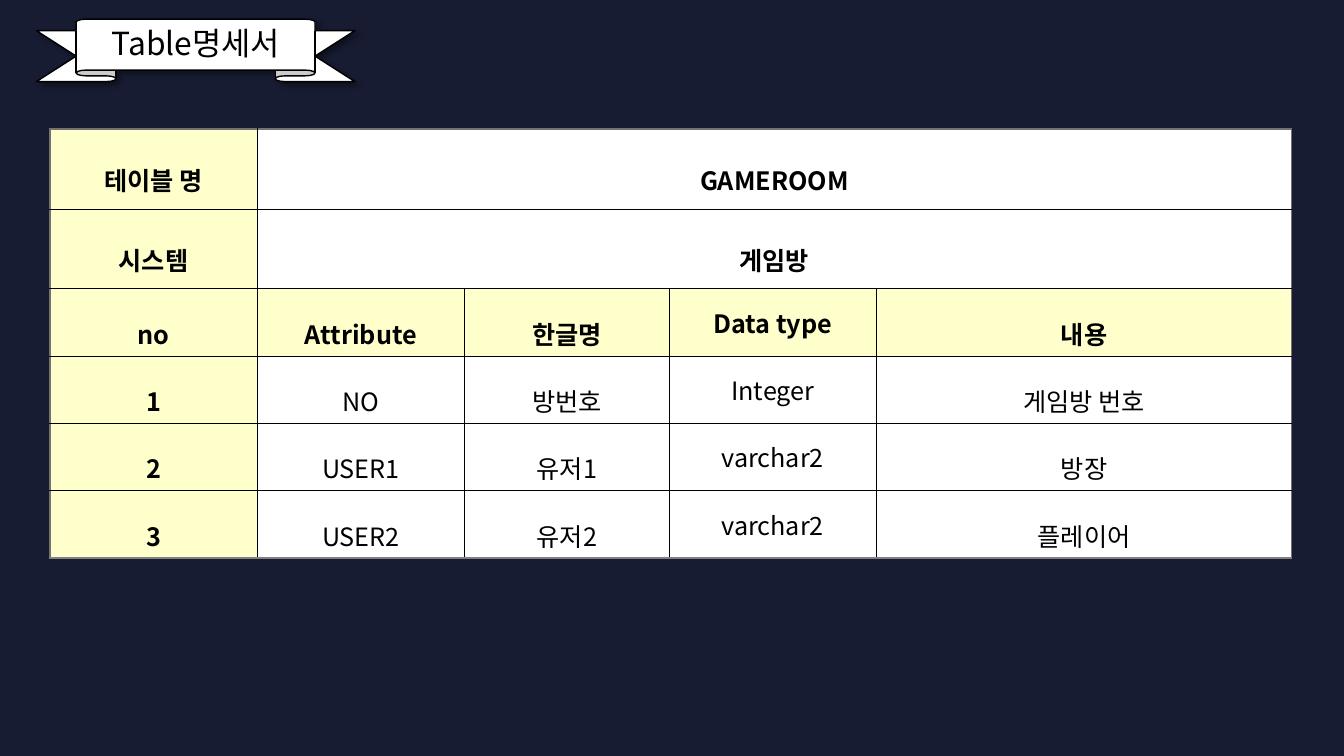
from lxml import etree
from pptx import Presentation
from pptx.dml.color import RGBColor as RGB
from pptx.enum.shapes import MSO_SHAPE as SHAPE
from pptx.enum.text import MSO_ANCHOR as ANCHOR, MSO_AUTO_SIZE as AUTO, PP_ALIGN as ALIGN
from pptx.oxml import parse_xml
from pptx.oxml.ns import nsdecls, qn
from pptx.util import Pt

FONT = "Noto Sans CJK KR"
COLORS = {"bg": "171C33", "white": "FFFFFF", "black": "000000",
          "head": "FFFFCC", "edge": "767171", "bottom": "808080"}


def set_text(tf, text, size, bold=False):
    p = tf.paragraphs[0]
    p.text = text
    p.alignment = ALIGN.CENTER
    for r in p.runs:
        r.font.name = FONT
        r.font.size = Pt(size)
        r.font.bold = bold
        r.font.color.rgb = RGB.from_string(COLORS["black"])
        etree.SubElement(r.font._element, qn("a:ea")).set("typeface", FONT)
    return p


def set_border(cell, side, color, width):
    cell._tc.get_or_add_tcPr().append(parse_xml(
        f'<a:ln{side} {nsdecls("a")} w="{Pt(width)}"><a:solidFill>'
        f'<a:srgbClr val="{COLORS[color]}"/></a:solidFill></a:ln{side}>'))


prs = Presentation()
prs.slide_width, prs.slide_height = Pt(960), Pt(540)
s = prs.slides.add_slide(prs.slide_layouts[5])
s.background.fill.solid()
s.background.fill.fore_color.rgb = RGB.from_string(COLORS["bg"])

ribbon = s.shapes.add_shape(SHAPE.UP_RIBBON, Pt(26), Pt(13.7), Pt(227.5), Pt(44.6))
ribbon.adjustments[0] = 0.184
ribbon.adjustments[1] = 0.75
ribbon.fill.solid()
ribbon.fill.fore_color.rgb = RGB.from_string(COLORS["white"])
ribbon.line.color.rgb = RGB.from_string(COLORS["black"])
ribbon.line.width = Pt(1)
ribbon._element.spPr.append(parse_xml(
    f'<a:effectLst {nsdecls("a")}><a:outerShdw blurRad="{Pt(4)}" dist="{Pt(3)}" '
    f'dir="2700000" algn="tl" rotWithShape="0"><a:srgbClr val="{COLORS["black"]}">'
    '<a:alpha val="40000"/></a:srgbClr></a:outerShdw></a:effectLst>'))

title = s.shapes.title
title._element.addprevious(ribbon._element)
title.left, title.top, title.width, title.height = Pt(64), Pt(12.2), Pt(152), Pt(37.4)
tf = title.text_frame
tf.word_wrap = True
tf.auto_size = AUTO.NONE
tf.vertical_anchor = ANCHOR.MIDDLE
tf.margin_left = tf.margin_right = Pt(9.4)
tf.margin_top = tf.margin_bottom = Pt(5)
set_text(tf, "Table명세서", 22.7)

rows = [
    ["테이블 명", "GAMEROOM"],
    ["시스템", "게임방"],
    ["no", "Attribute", "한글명", "Data type", "내용"],
    ["1", "NO", "방번호", "Integer", "게임방 번호"],
    ["2", "USER1", "유저1", "varchar2", "방장"],
    ["3", "USER2", "유저2", "varchar2", "플레이어"],
]
widths = [148.2, 148.2, 146, 148.2, 296.5]
heights = [57.1, 57.1] + [48.1] * 4
last_row, last_col = len(rows) - 1, len(widths) - 1
TYPE_COL = 3

frame = s.shapes.add_table(len(rows), len(widths), Pt(35.5), Pt(92),
                           Pt(sum(widths)), Pt(sum(heights)))
table = frame.table
table.first_row = table.horz_banding = False
for col, width in zip(table.columns, widths):
    col.width = Pt(width)
for row, height in zip(table.rows, heights):
    row.height = Pt(height)
for i in range(2):
    table.cell(i, 1).merge(table.cell(i, last_col))

for i, texts in enumerate(rows):
    for j, text in enumerate(texts):
        cell = table.cell(i, j)
        is_type = j == TYPE_COL
        cell.vertical_anchor = ANCHOR.MIDDLE
        cell.margin_left = cell.margin_right = Pt(7.2)
        cell.margin_top = cell.margin_bottom = Pt(3.6 if is_type else 2.16)
        p = set_text(cell.text_frame, text, 18, bold=i < 3 or j == 0)
        p.line_spacing = 1.0 if is_type else 1.6
        for side, outer, color in [("L", j == 0, "edge"),
                                   ("R", j == len(texts) - 1, "edge"),
                                   ("T", i == 0, "edge"),
                                   ("B", i == last_row, "bottom")]:
            set_border(cell, side, color if outer else "black", 1.5 if outer else 0.28)
        cell.fill.solid()
        cell.fill.fore_color.rgb = RGB.from_string(
            COLORS["head" if j == 0 or i == 2 else "white"])

prs.save("out.pptx")
